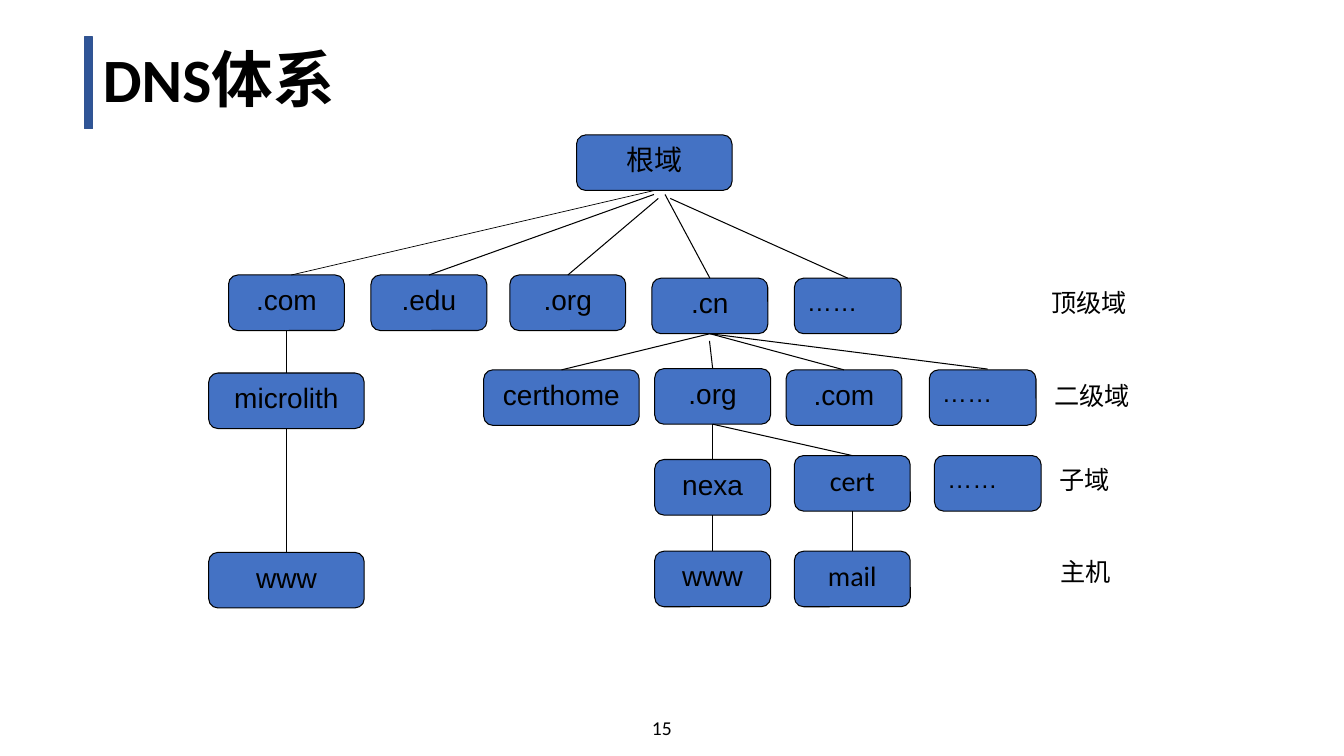
from lxml.etree import SubElement
from pptx import Presentation
from pptx.dml.color import RGBColor
from pptx.enum.shapes import MSO_CONNECTOR as Link, MSO_SHAPE as Shape
from pptx.enum.text import MSO_ANCHOR as Anchor, MSO_AUTO_SIZE as Fit, PP_ALIGN as Align
from pptx.oxml.ns import qn
from pptx.util import Cm, Pt

BLACK = RGBColor(0x00, 0x00, 0x00)
BLUE = RGBColor(0x44, 0x72, 0xC4)
NAVY = RGBColor(0x2F, 0x55, 0x97)
EDGE = RGBColor(0x32, 0x54, 0x91)

WIDE, MID, SLIM, TALL = 3.92, 2.92, 2.69, 1.4

NODES = {
    "root": ("根域", 9.53, 0.4, WIDE),
    "more1": ("……", 15.02, 4.01, SLIM),
    "com": (".com", 0.76, 3.93, MID),
    "edu": (".edu", 4.35, 3.93, MID),
    "org": (".org", 7.85, 3.93, MID),
    "cn": (".cn", 11.43, 4.01, MID),
    "more2": ("……", 18.42, 6.32, SLIM),
    "firm": ("microlith", 0.26, 6.4, WIDE),
    "home": ("certhome", 7.19, 6.32, WIDE),
    "cn org": (".org", 11.5, 6.29, MID),
    "cn com": (".com", 14.81, 6.32, MID),
    "more3": ("……", 18.55, 8.48, SLIM),
    "firm www": ("www", 0.26, 10.92, WIDE),
    "nexa": ("nexa", 11.5, 8.58, MID),
    "cert": ("cert", 15.02, 8.48, MID),
    "nexa www": ("www", 11.5, 10.89, MID),
    "mail": ("mail", 15.02, 10.89, MID),
}
LINKS = [
    ("root", (2.34, 3.93), 0.5),
    ((11.48, 1.9), "edu", 0.75),
    ((11.59, 2.0), "org", 0.75),
    ((11.76, 1.9), "cn", 0.75),
    ((11.89, 2.0), "more1", 0.75),
    ("com", "firm", 0.75),
    ("firm", "firm www", 0.75),
    ("cn", "home", 0.75),
    ((12.88, 5.59), "cn org", 0.75),
    ("cn", "cn com", 0.75),
    ("cn", (19.89, 6.3), 0.75),
    ("cn org", "nexa", 0.75),
    ("cn org", "cert", 0.75),
    ("nexa", "nexa www", 0.75),
    ("cert", "mail", 0.75),
]
LEVELS = [
    ("顶级域", 21.24, 4.11, 2.46),
    ("二级域", 21.32, 6.47, 2.46),
    ("子域", 21.44, 8.58, 1.8),
    ("主机", 21.47, 10.89, 1.8),
]


def write(frame, text, size, face="Calibri"):
    """Put one line of black text in a frame and return its paragraph."""
    frame.text = text
    para = frame.paragraphs[0]
    font = para.font
    font.name, font.size = face, Pt(size)
    font.color.rgb = BLACK
    return para


def paint(shape, fill, edge, width):
    """Give a shape a flat fill and outline."""
    shape.shadow.inherit = False
    shape.fill.solid()
    shape.fill.fore_color.rgb = fill
    shape.line.color.rgb = edge
    shape.line.width = Pt(width)


def add_label(shapes, text, left, top, width, size):
    """Add an unwrapped text box."""
    box = shapes.add_textbox(Cm(left), Cm(top), Cm(width), Cm(1.03))
    frame = box.text_frame
    frame.word_wrap = False
    frame.auto_size = Fit.SHAPE_TO_FIT_TEXT
    write(frame, text, size)


def add_head(slide, text, left, top, width, height):
    """Place the title with the bar at its left."""
    bar = slide.shapes.add_shape(
        Shape.RECTANGLE, Cm(left), Cm(top), Cm(0.21), Cm(height))
    paint(bar, NAVY, EDGE, 1)
    title = slide.shapes.title
    title.left, title.top = Cm(left + 0.21), Cm(top)
    title.width, title.height = Cm(width - 0.21), Cm(height)
    frame = title.text_frame
    frame.auto_size = Fit.NONE
    frame.vertical_anchor = Anchor.MIDDLE
    para = write(frame, text, 44)
    para.font.bold = True
    para.alignment = Align.LEFT
    para.line_spacing = 0.9


def add_node(shapes, text, left, top, width):
    """Add one domain box."""
    node = shapes.add_shape(
        Shape.ROUNDED_RECTANGLE, Cm(left), Cm(top), Cm(width), Cm(TALL))
    paint(node, BLUE, BLACK, 0.75)
    frame = node.text_frame
    frame.vertical_anchor = Anchor.TOP
    dots = text == "……"
    face = "Calibri" if text in ("cert", "mail") else "Arial"
    para = write(frame, text, 18 if dots else 20, face)
    para.alignment = Align.LEFT if dots else Align.CENTER
    return node


def add_link(shapes, nodes, start, end, width, left, top):
    """Draw a line between nodes or loose points."""
    def spot(mark, low):
        """Find where a line meets a node or point."""
        if mark in nodes:
            node = nodes[mark]
            return node.left + node.width // 2, node.top + low * node.height
        return Cm(left + mark[0]), Cm(top + mark[1])

    line = shapes.add_connector(Link.STRAIGHT, *spot(start, 1), *spot(end, 0))
    if start in nodes:
        line.begin_connect(nodes[start], 2)
    if end in nodes:
        line.end_connect(nodes[end], 0)
    line.line.color.rgb = BLACK
    line.line.width = Pt(width)
    SubElement(line._element.spPr, qn("a:effectLst"))


def add_tree(slide, left, top):
    """Build the domain tree and its level names from a top-left corner."""
    shapes = slide.shapes.add_group_shape().shapes
    nodes = {key: add_node(shapes, text, left + x, top + y, width)
             for key, (text, x, y, width) in NODES.items()}
    for start, end, width in LINKS:
        add_link(shapes, nodes, start, end, width, left, top)
    for text, x, y, width in LEVELS:
        add_label(shapes, text, left + x, top + y, width, 18)


def main():
    """Build and save the deck."""
    deck = Presentation()
    deck.slide_width, deck.slide_height = Cm(33.87), Cm(19.05)
    slide = deck.slides.add_slide(deck.slide_layouts[5])
    add_label(slide.shapes, "15", 16.18, 17.92, 1.12, 14)
    add_head(slide, "DNS体系", 2.13, 0.93, 29.42, 2.31)
    add_tree(slide, 5, 3)
    deck.save("out.pptx")


if __name__ == "__main__":
    main()
